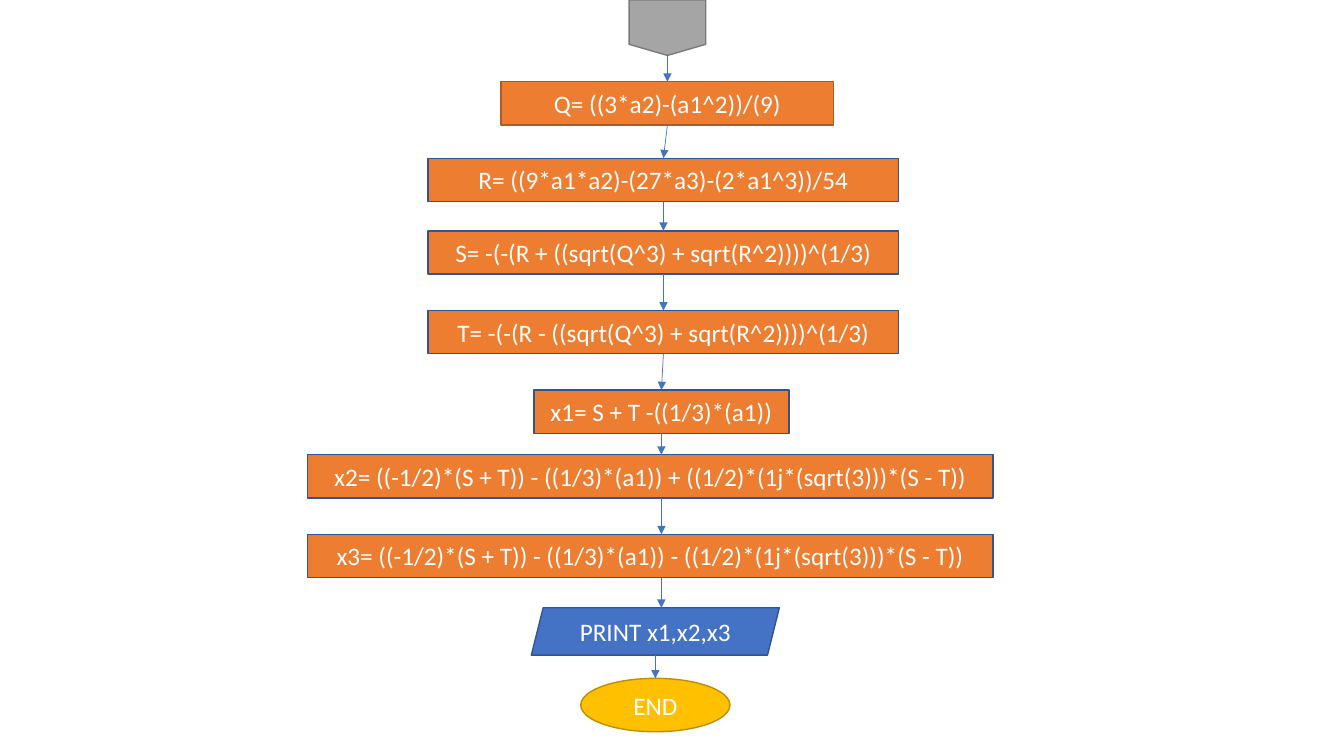
import pptx
import pptx.util
import pptx.dml.color
import pptx.enum.shapes
import pptx.enum.text
from lxml import etree
from pptx.oxml.ns import qn

Inches, Pt = pptx.util.Inches, pptx.util.Pt
RGB = pptx.dml.color.RGBColor.from_string
SHAPES = pptx.enum.shapes.MSO_SHAPE

THEME = {
    "font": "Calibri", "size": 18, "text": "FFFFFF",
    "outline": 1, "arrow": "4472C4", "arrow_width": 0.5,
    # kind: preset shape, fill, outline colour
    "entry": (SHAPES.FLOWCHART_OFFPAGE_CONNECTOR, "A5A5A5", "7A7A7A"),
    "first": (SHAPES.RECTANGLE, "ED7D31", "AF5C24"),
    "process": (SHAPES.RECTANGLE, "ED7D31", "325491"),
    "output": (SHAPES.PARALLELOGRAM, "4472C4", "325491"),
    "end": (SHAPES.OVAL, "FFC000", "BD8E00"),
}

# Steps in flow order: kind, text, centre x, top, width, height
BAR = 0.43
STEPS = [
    ("entry", "", 6.62, 0, 0.76, 0.55),
    ("first", "Q= ((3*a2)-(a1^2))/(9)", 6.62, 0.81, 3.3, BAR),
    ("process", "R= ((9*a1*a2)-(27*a3)-(2*a1^3))/54", 6.58, 1.57, 4.67, BAR),
    ("process", "S= -(-(R + ((sqrt(Q^3) + sqrt(R^2))))^(1/3)", 6.58, 2.29, 4.67, BAR),
    ("process", "T= -(-(R - ((sqrt(Q^3) + sqrt(R^2))))^(1/3)", 6.58, 3.08, 4.67, BAR),
    ("process", "x1= S + T -((1/3)*(a1))", 6.56, 3.87, 2.53, BAR),
    ("process", "x2= ((-1/2)*(S + T)) - ((1/3)*(a1)) + ((1/2)*(1j*(sqrt(3)))*(S - T))",
     6.45, 4.51, 6.8, BAR),
    ("process", "x3= ((-1/2)*(S + T)) - ((1/3)*(a1)) - ((1/2)*(1j*(sqrt(3)))*(S - T))",
     6.45, 5.3, 6.8, BAR),
    ("output", "PRINT x1,x2,x3", 6.5, 6.03, 2.46, 0.47),
    ("end", "END", 6.5, 6.73, 1.48, 0.53),
]
# The arrows through x2 and x3 stay in line with x1, down to the slanted top of PRINT
ARROW_IN = {6: 6.56, 7: 6.56, 8: 6.56}
ARROW_OUT = {6: 6.56, 7: 6.56}


def write_text(box, text, size=THEME["size"], color=THEME["text"], font=THEME["font"]):
    frame = box.text_frame
    frame.word_wrap = True
    frame.vertical_anchor = pptx.enum.text.MSO_ANCHOR.MIDDLE
    para = frame.paragraphs[0]
    para.alignment = pptx.enum.text.PP_ALIGN.CENTER
    span = para.add_run()
    span.text = text
    span.font.size, span.font.name = Pt(size), font
    span.font.color.rgb = RGB(color)


def add_step(page, kind, text, center, top, width, height):
    preset, fill, outline = THEME[kind]
    box = page.shapes.add_shape(preset, Inches(center - width / 2), Inches(top),
                                Inches(width), Inches(height))
    box.shadow.inherit = False
    box.fill.solid()
    box.fill.fore_color.rgb = RGB(fill)
    box.line.color.rgb = RGB(outline)
    box.line.width = Pt(THEME["outline"])
    if text:
        write_text(box, text)


def add_arrow(page, start, finish):
    arrow = page.shapes.add_connector(pptx.enum.shapes.MSO_CONNECTOR.STRAIGHT,
                                      *map(Inches, start + finish))
    arrow.line.color.rgb = RGB(THEME["arrow"])
    arrow.line.width = Pt(THEME["arrow_width"])
    etree.SubElement(arrow.line._get_or_add_ln(), qn("a:tailEnd"), type="triangle")
    etree.SubElement(arrow._element.spPr, qn("a:effectLst"))


deck = pptx.Presentation()
deck.slide_width, deck.slide_height = Inches(13.33), Inches(7.5)
page = deck.slides.add_slide(deck.slide_layouts[6])

# Flowchart steps
for step in STEPS:
    add_step(page, *step)

# Arrows from the bottom of each step to the top of the next
for index, (step, following) in enumerate(zip(STEPS, STEPS[1:])):
    center, top, height = step[2], step[3], step[5]
    add_arrow(page, (ARROW_OUT.get(index, center), top + height),
              (ARROW_IN.get(index + 1, following[2]), following[3]))

deck.save("out.pptx")
